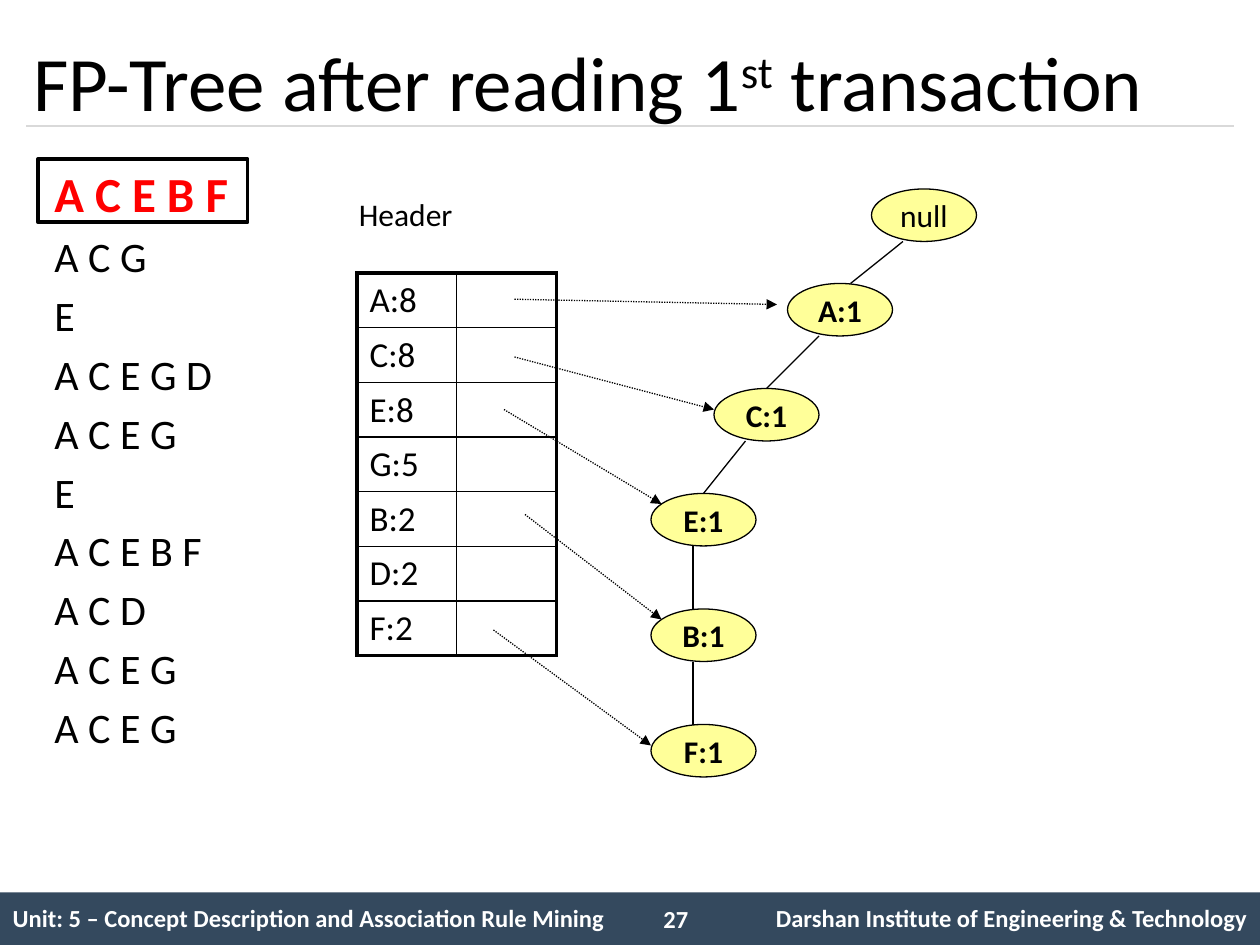
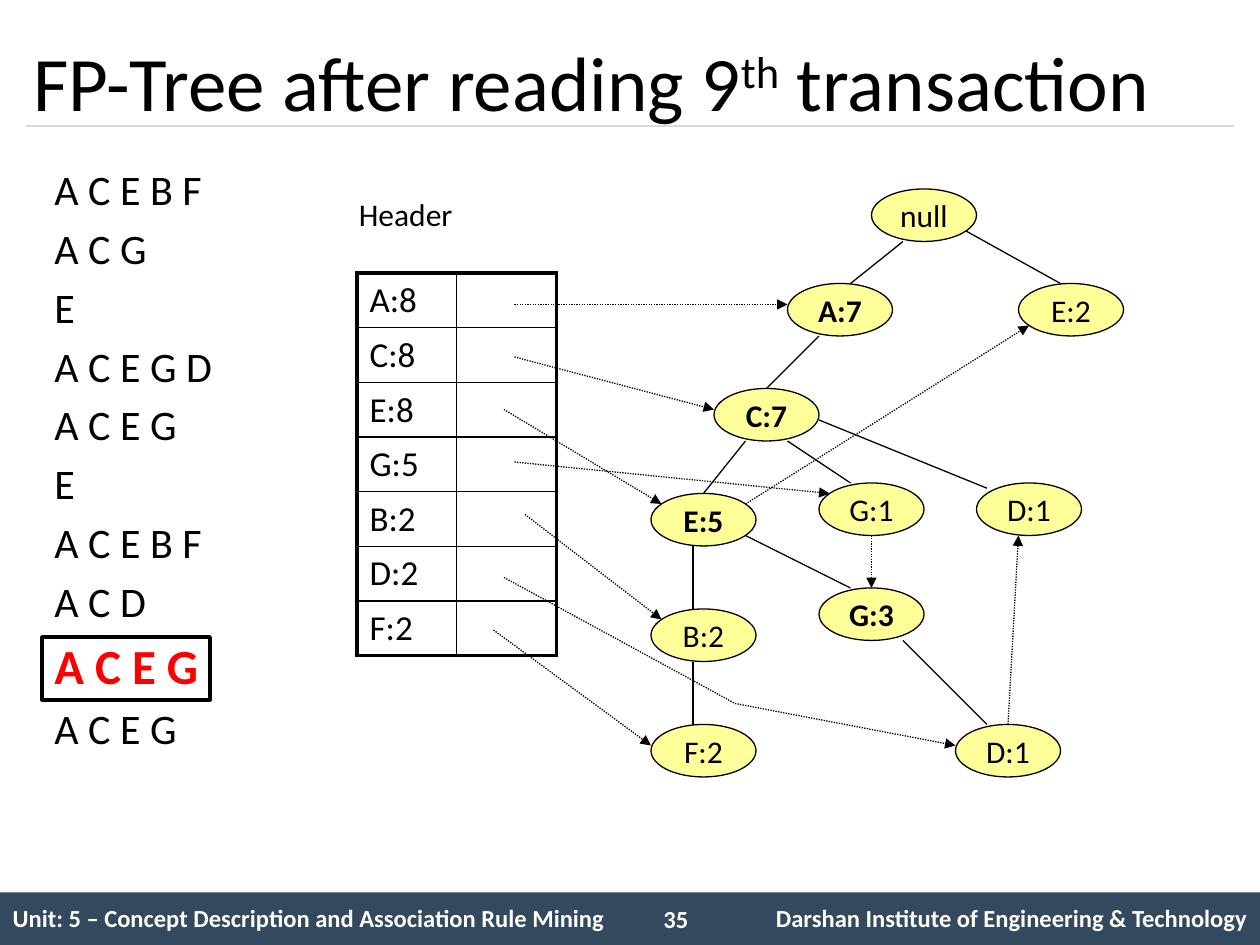
import pptx
import pptx.dml.color
import pptx.enum.dml
import pptx.enum.shapes
import pptx.enum.text
import pptx.oxml.ns
import pptx.util
from lxml import etree

Pt = pptx.util.Pt
ALIGN = pptx.enum.text.PP_ALIGN
MIDDLE = pptx.enum.text.MSO_ANCHOR.MIDDLE
SHAPE = pptx.enum.shapes.MSO_SHAPE

FONT = "Calibri"
COLORS = {"ink": "000000", "band": "34495E", "rule": "D9D9D9", "node": "FFFF99",
          "current": "FF0000", "paper": "FFFFFF"}

UNIT = "Unit: 5 – Concept Description and Association Rule Mining"
INSTITUTE = "Darshan Institute of Engineering & Technology"
TRANSACTIONS = ["A C E B F", "A C G", "E", "A C E G D", "A C E G",
                "E", "A C E B F", "A C D", "A C E G", "A C E G"]
HEADER_COUNTS = ["A:8", "C:8", "E:8", "G:5", "B:2", "D:2", "F:2"]

# Branches and links: start x, start y, end x, end y
MAIN_BRANCHES = [(516, 138, 486, 162), (468, 192, 438, 222), (426, 252, 402, 282),
                 (396, 312, 396, 348), (396, 378, 396, 414)]
HEADER_LINKS = [(282, 360, 372, 426), (288, 234, 378, 288),
                (294, 204, 408, 234), (300, 294, 378, 354)]

# Nodes: label, left, top, bold
STEPS = [
    {
        "page": "27", "ordinal": ("1", "st"), "current": 0,
        "frame": (21.6, 91, 120, 36),
        "nodes": [("null", 498, 108, False), ("A:1", 450, 162, True),
                  ("C:1", 408, 222, True), ("E:1", 372, 282, True),
                  ("B:1", 372, 348, True), ("F:1", 372, 414, True)],
        "branches": MAIN_BRANCHES,
        "links": HEADER_LINKS + [(294, 171, 444, 174)],
        "link_starts": [],
    },
    {
        "page": "35", "ordinal": ("9", "th"), "current": 8,
        "frame": (24, 364, 96, 36),
        "nodes": [("null", 498, 108, False), ("A:7", 450, 162, True),
                  ("C:7", 408, 222, True), ("E:5", 372, 282, True),
                  ("B:2", 372, 348, False), ("F:2", 372, 414, False),
                  ("G:1", 468, 276, False), ("G:3", 468, 336, True),
                  ("E:2", 582, 162, False), ("D:1", 546, 414, False),
                  ("D:1", 558, 276, False)],
        "branches": MAIN_BRANCHES + [(450, 252, 486, 276), (552, 132, 606, 162),
                                     (426, 306, 486, 336), (516, 366, 564, 414),
                                     (468, 240, 564, 279)],
        "links": HEADER_LINKS + [(294, 174, 450, 174), (426, 288, 588, 186),
                                 (294, 264, 474, 282), (498, 306, 498, 336),
                                 (420, 402, 546, 426), (576, 414, 582, 306)],
        "link_starts": [(288, 330, 420, 402)],
    },
]


def rgb(name):
    return pptx.dml.color.RGBColor.from_string(COLORS[name])


def child(parent, tag, **attributes):
    return etree.SubElement(parent, pptx.oxml.ns.qn(tag), attributes)


def style(font, size, color="ink", bold=False):
    font.name, font.size, font.bold = FONT, Pt(size), bold
    font.color.rgb = rgb(color)


def add_text(slide, text, box, size, color="ink", bold=False, wrap=True):
    frame = slide.shapes.add_textbox(*map(Pt, box)).text_frame
    frame.word_wrap = wrap
    frame.text = text
    style(frame.paragraphs[0].font, size, color, bold)
    return frame


def add_box(slide, kind, box, fill=None, line=None, width=0.75):
    shape = slide.shapes.add_shape(kind, *map(Pt, box))
    shape.shadow.inherit = False
    if fill:
        shape.fill.solid()
        shape.fill.fore_color.rgb = rgb(fill)
    else:
        shape.fill.background()
    if line:
        shape.line.color.rgb = rgb(line)
        shape.line.width = Pt(width)
    else:
        shape.line.fill.background()
    return shape


def add_line(slide, ends, color="ink", dotted=False, arrow=False):
    line = slide.shapes.add_connector(
        pptx.enum.shapes.MSO_CONNECTOR.STRAIGHT, *map(Pt, ends))
    line.line.color.rgb = rgb(color)
    line.line.width = Pt(0.75)
    if dotted:
        line.line.dash_style = pptx.enum.dml.MSO_LINE.ROUND_DOT
    if arrow:
        child(line.line._get_or_add_ln(), "a:tailEnd", type="triangle")
    child(line._element.spPr, "a:effectLst")


def add_grid(slide, rows, left, top, widths, row_height):
    """Add a table free of banding and return it."""
    table = slide.shapes.add_table(
        rows, len(widths), Pt(left), Pt(top), Pt(sum(widths)), Pt(row_height * rows)).table
    table.first_row = table.horz_banding = False
    for column, width in zip(table.columns, widths):
        column.width = Pt(width)
    return table


def finish_cell(cell, borders):
    """Draw left, right, top and bottom borders (0 for none) and clear the fill."""
    properties = cell._tc.get_or_add_tcPr()
    for side, width in zip("LRTB", borders):
        line = child(properties, f"a:ln{side}", w=str(Pt(width)))
        if width:
            child(child(line, "a:solidFill"), "a:srgbClr", val=COLORS["ink"])
        else:
            child(line, "a:noFill")
    cell.fill.background()


def add_footer(slide, page):
    add_box(slide, SHAPE.RECTANGLE, (0, 510, 720, 30), "band")
    table = add_grid(slide, 1, 0, 510, (366, 48, 306), 30.6)
    texts = (UNIT, "", INSTITUTE)
    for cell, text, align in zip(table.rows[0].cells, texts, (ALIGN.LEFT, ALIGN.LEFT, ALIGN.RIGHT)):
        cell.text = text
        cell.vertical_anchor = MIDDLE
        paragraph = cell.text_frame.paragraphs[0]
        paragraph.alignment = align
        style(paragraph.font, 14, "paper", True)
        finish_cell(cell, (0, 0, 0, 0))
    add_text(slide, page, (372, 513, 42, 24), 14, "paper", True)


def add_title(slide, number, suffix):
    frame = add_text(slide, "", (12, 18, 708, 56), 44)
    frame.vertical_anchor = MIDDLE
    paragraph = frame.paragraphs[0]
    for text in (f"FP-Tree after reading {number}", suffix, " transaction"):
        run = paragraph.add_run()
        run.text = text
        if text == suffix:
            run._r.get_or_add_rPr().set("baseline", "30000")
    add_line(slide, (15, 72, 705, 72), "rule")


def add_header_table(slide):
    add_text(slide, "Header", (198, 108, 73, 29), 18, wrap=False)
    table = add_grid(slide, len(HEADER_COUNTS), 204, 156, (57, 57), 31.2)
    last = len(HEADER_COUNTS) - 1
    for row, count in enumerate(HEADER_COUNTS):
        top, bottom = 2.25 if row == 0 else 1, 2.25 if row == last else 1
        for column, text in enumerate((count, "")):
            cell = table.cell(row, column)
            cell.text = text
            style(cell.text_frame.paragraphs[0].font, 20)
            sides = (1, 2.25) if column else (2.25, 1)
            finish_cell(cell, (*sides, top, bottom))


def add_transactions(slide, current, highlight):
    frame = add_text(slide, "\n".join(TRANSACTIONS), (24, 90, 156, 366), 24)
    for index, paragraph in enumerate(frame.paragraphs):
        reading = index == current
        size = 28 if reading else 24
        style(paragraph.font, size, "current" if reading else "ink", reading)
        if index:
            paragraph.space_before = Pt(size * 0.2)
    add_box(slide, SHAPE.RECTANGLE, highlight, line="ink", width=2)


def add_node(slide, label, left, top, bold):
    node = add_box(slide, SHAPE.OVAL, (left, top, 60, 30), "node", "ink")
    frame = node.text_frame
    frame.word_wrap = False
    frame.vertical_anchor = MIDDLE
    frame.text = label
    frame.paragraphs[0].alignment = ALIGN.CENTER
    style(frame.paragraphs[0].font, 18, bold=bold)


def add_step(deck, step):
    slide = deck.slides.add_slide(deck.slide_layouts[6])
    add_footer(slide, step["page"])
    add_title(slide, *step["ordinal"])
    add_transactions(slide, step["current"], step["frame"])
    add_header_table(slide)
    for node in step["nodes"]:
        add_node(slide, *node)
    for branch in step["branches"]:
        add_line(slide, branch)
    for link in step["link_starts"]:
        add_line(slide, link, dotted=True)
    for link in step["links"]:
        add_line(slide, link, dotted=True, arrow=True)


def main():
    deck = pptx.Presentation()
    deck.slide_width, deck.slide_height = Pt(720), Pt(540)
    for step in STEPS:
        add_step(deck, step)
    deck.save("out.pptx")


if __name__ == "__main__":
    main()
